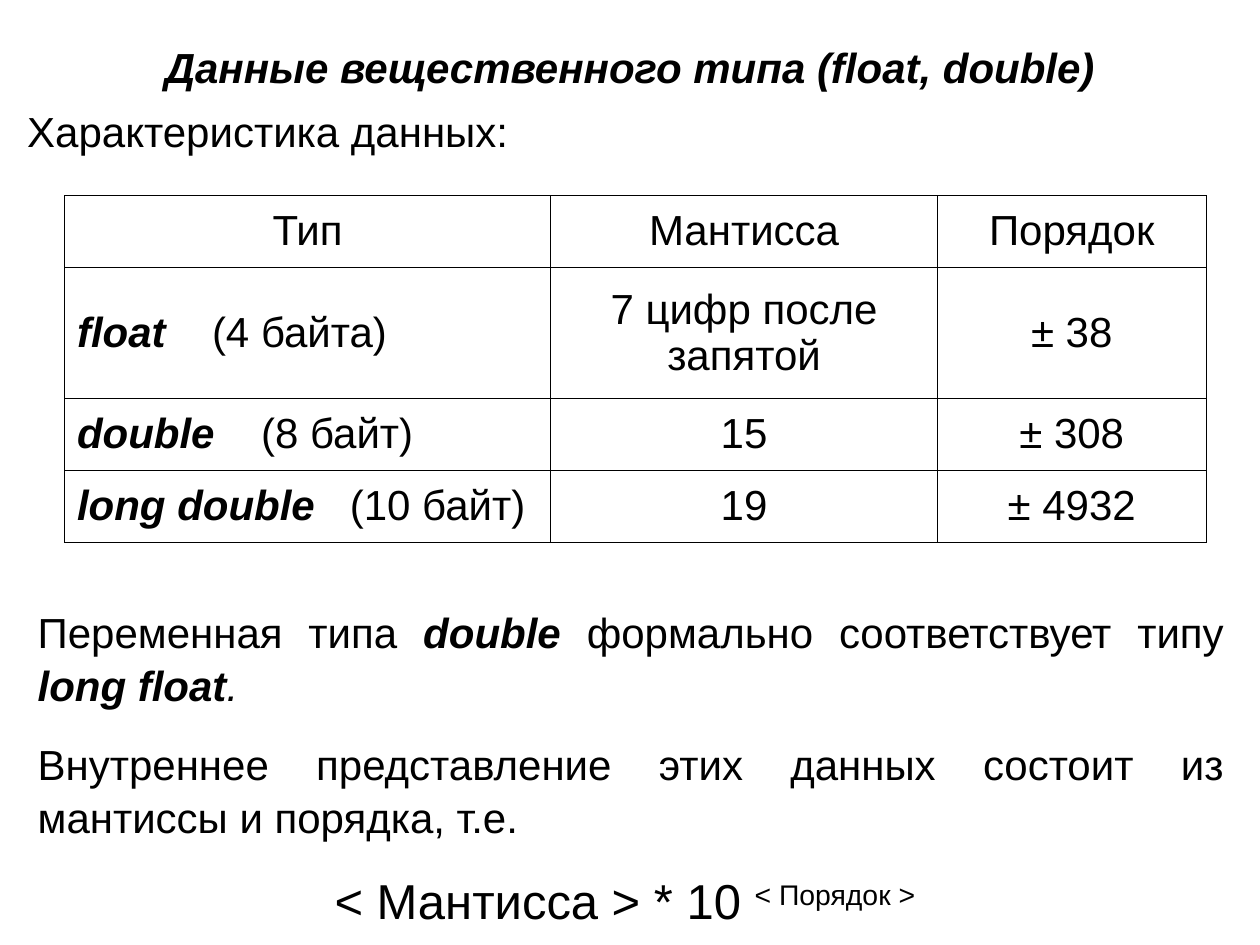
import dataclasses
import pptx
import pptx.util
import pptx.dml.color
import pptx.enum.text
import pptx.oxml.ns
import lxml.etree

Cm = pptx.util.Cm
Pt = pptx.util.Pt
Align = pptx.enum.text.PP_ALIGN
Anchor = pptx.enum.text.MSO_ANCHOR
qn = pptx.oxml.ns.qn


@dataclasses.dataclass
class Theme:
    font: str = "Arial"
    ink: str = "000000"
    paper: str = "FFFFFF"
    size: int = 24
    big: int = 28
    border: float = 0.45
    lines: float = 1.05


class Page:
    def __init__(self, deck, theme):
        self.theme = theme
        self.slide = deck.slides.add_slide(deck.slide_layouts[6])
        fill = self.slide.background.fill
        fill.solid()
        fill.fore_color.rgb = self.color(theme.paper)

    def color(self, code):
        return pptx.dml.color.RGBColor.from_string(code)

    def style(self, para, parts, align):
        """Parts are strings or (text, look) pairs; look: b, i, L(arge), ^."""
        para.alignment = align
        for part in parts:
            text, look = (part, "") if isinstance(part, str) else part
            run = para.add_run()
            run.text = text
            font = run.font
            font.name = self.theme.font
            font.size = Pt(self.theme.big if "L" in look else self.theme.size)
            font.color.rgb = self.color(self.theme.ink)
            font.bold = "b" in look
            font.italic = "i" in look
            if "^" in look:
                font._element.set("baseline", "30000")

    def text(self, box, paras, before=0, after=0):
        frame = self.slide.shapes.add_textbox(*map(Cm, box)).text_frame
        frame.word_wrap = True
        frame.auto_size = pptx.enum.text.MSO_AUTO_SIZE.SHAPE_TO_FIT_TEXT
        frame.vertical_anchor = Anchor.MIDDLE
        for n, (align, parts) in enumerate(paras):
            para = frame.add_paragraph() if n else frame.paragraphs[0]
            para.line_spacing = self.theme.lines
            para.space_before = Pt(before)
            para.space_after = Pt(after)
            self.style(para, parts, align)

    def tab(self, para, stop):
        props = para._p.get_or_add_pPr()
        tabs = lxml.etree.SubElement(props, qn("a:tabLst"))
        lxml.etree.SubElement(tabs, qn("a:tab"), pos=str(Cm(stop)), algn="l")

    def frame(self, cell):
        props = cell._tc.get_or_add_tcPr()
        for n, side in enumerate(("lnL", "lnR", "lnT", "lnB")):
            width = str(int(Pt(self.theme.border)))
            line = lxml.etree.Element(qn("a:" + side), w=width)
            fill = lxml.etree.SubElement(line, qn("a:solidFill"))
            lxml.etree.SubElement(fill, qn("a:srgbClr"), val=self.theme.ink)
            props.insert(n, line)

    def table(self, left, top, cols, rows, data, stops):
        box = map(Cm, (left, top, sum(cols), sum(rows)))
        grid = self.slide.shapes.add_table(len(rows), len(cols), *box).table
        grid.first_row = grid.horz_banding = False
        for col, width in zip(grid.columns, cols):
            col.width = Cm(width)
        for r, (row, high) in enumerate(zip(data, rows)):
            grid.rows[r].height = Cm(high)
            for c, parts in enumerate(row):
                cell = grid.cell(r, c)
                cell.fill.background()
                cell.vertical_anchor = Anchor.MIDDLE
                para = cell.text_frame.paragraphs[0]
                label = r > 0 and c == 0
                self.style(para, parts, Align.LEFT if label else Align.CENTER)
                if label:
                    self.tab(para, stops[r - 1])
                self.frame(cell)


deck = pptx.Presentation()
deck.slide_width, deck.slide_height = Cm(25.4), Cm(19.05)
page = Page(deck, Theme())

# Heading
page.text((0.3, 0.71, 24.79, 2.51), [
    (Align.CENTER, [("Данные вещественного типа (float, double)", "bi")]),
    (Align.LEFT, ["Характеристика данных:"]),
], after=6)

# Table of types
types = [
    ("float", "(4 байта)", "7 цифр после запятой", "± 38"),
    ("double", "(8 байт)", "15", "± 308"),
    ("long double", "(10 байт)", "19", "± 4932"),
]
data = [[["Тип"], ["Мантисса"], ["Порядок"]]]
data += [[[(name, "bi"), "\t" + size], [digits], [power]]
         for name, size, digits, power in types]
page.table(1.3, 3.94, (9.8, 7.8, 5.41), (1.45, 2.64, 1.45, 1.45),
           data, (2.72, 3.71, 5.5))

# Explanation and formula
page.text((0.51, 12.17, 24.41, 6.58), [
    (Align.JUSTIFY, ["Переменная типа ", ("double ", "bi"),
                     "формально соответствует типу ",
                     ("long float", "bi"), (".", "i")]),
    (Align.JUSTIFY, ["Внутреннее представление этих данных состоит из "
                     "мантиссы и порядка, т.е."]),
    (Align.CENTER, [("< Мантисса > * 10 ", "L"), ("< Порядок >", "L^"), " "]),
], before=15)

deck.save("out.pptx")
